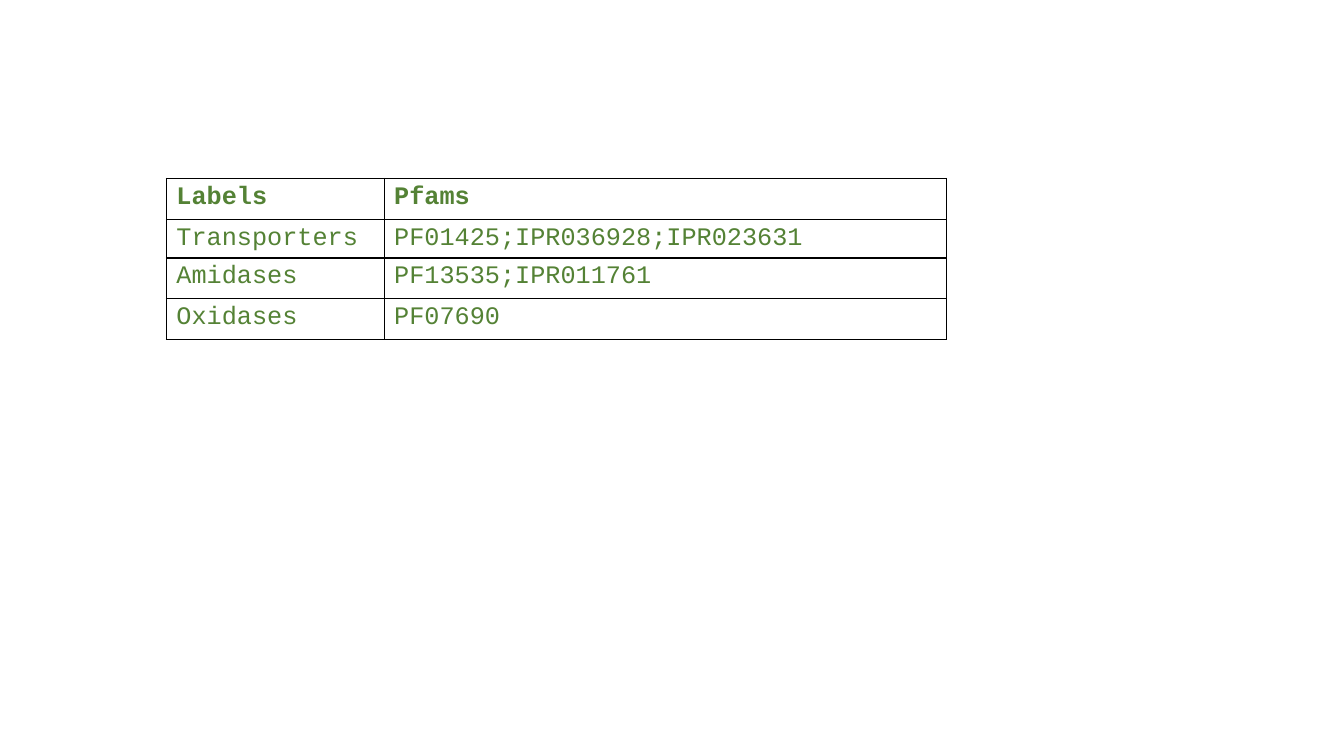
from lxml.etree import SubElement
from pptx import Presentation
from pptx.dml.color import RGBColor
from pptx.oxml.ns import qn
from pptx.util import Inches, Pt

SLIDE_W, SLIDE_H = 13.33, 7.5


def color(hex_code):
    return RGBColor.from_string(hex_code)


class SlideBuilder:
    """Holds the style and the current slide; lengths are shares of its size."""

    font = "Courier New"
    size = 18
    ink = "548235"
    border = "000000"
    border_pt = 1

    def __init__(self, slide):
        self.slide = slide

    def x(self, share):
        return Inches(SLIDE_W * share / 100)

    def y(self, share):
        return Inches(SLIDE_H * share / 100)

    def table(self, left, top, widths, heights, rows):
        frame = self.slide.shapes.add_table(
            len(rows), len(widths), self.x(left), self.y(top),
            self.x(sum(widths)), self.y(sum(heights)))
        tbl = frame.table
        tbl.horz_banding = False
        for column, width in zip(tbl.columns, widths):
            column.width = self.x(width)
        for row, height in zip(tbl.rows, heights):
            row.height = self.y(height)
        for i, texts in enumerate(rows):
            for j, text in enumerate(texts):
                self.cell(tbl.cell(i, j), text, bold=i == 0)

    def cell(self, cell, text, bold):
        cell.text_frame.text = text
        r = cell.text_frame.paragraphs[0].runs[0]
        r.font.name = self.font
        r.font.size = Pt(self.size)
        r.font.bold = bold
        r.font.color.rgb = color(self.ink)
        self.borders(cell)
        cell.fill.background()

    def borders(self, cell):
        tc_pr = cell._tc.get_or_add_tcPr()
        for side in ("lnL", "lnR", "lnT", "lnB"):
            ln = SubElement(tc_pr, qn(f"a:{side}"), w=str(Pt(self.border_pt)))
            fill = SubElement(ln, qn("a:solidFill"))
            SubElement(fill, qn("a:srgbClr"), val=self.border)


prs = Presentation()
prs.slide_width, prs.slide_height = Inches(SLIDE_W), Inches(SLIDE_H)
s = SlideBuilder(prs.slides.add_slide(prs.slide_layouts[6]))

# Table of labels and their protein families, in percent of the slide
s.table(
    left=12.38, top=23.6,
    widths=[16.2, 41.86],
    heights=[5.4, 5.1, 5.4, 5.4],
    rows=[
        ("Labels", "Pfams"),
        ("Transporters", "PF01425;IPR036928;IPR023631"),
        ("Amidases", "PF13535;IPR011761"),
        ("Oxidases", "PF07690"),
    ])

prs.save("out.pptx")
